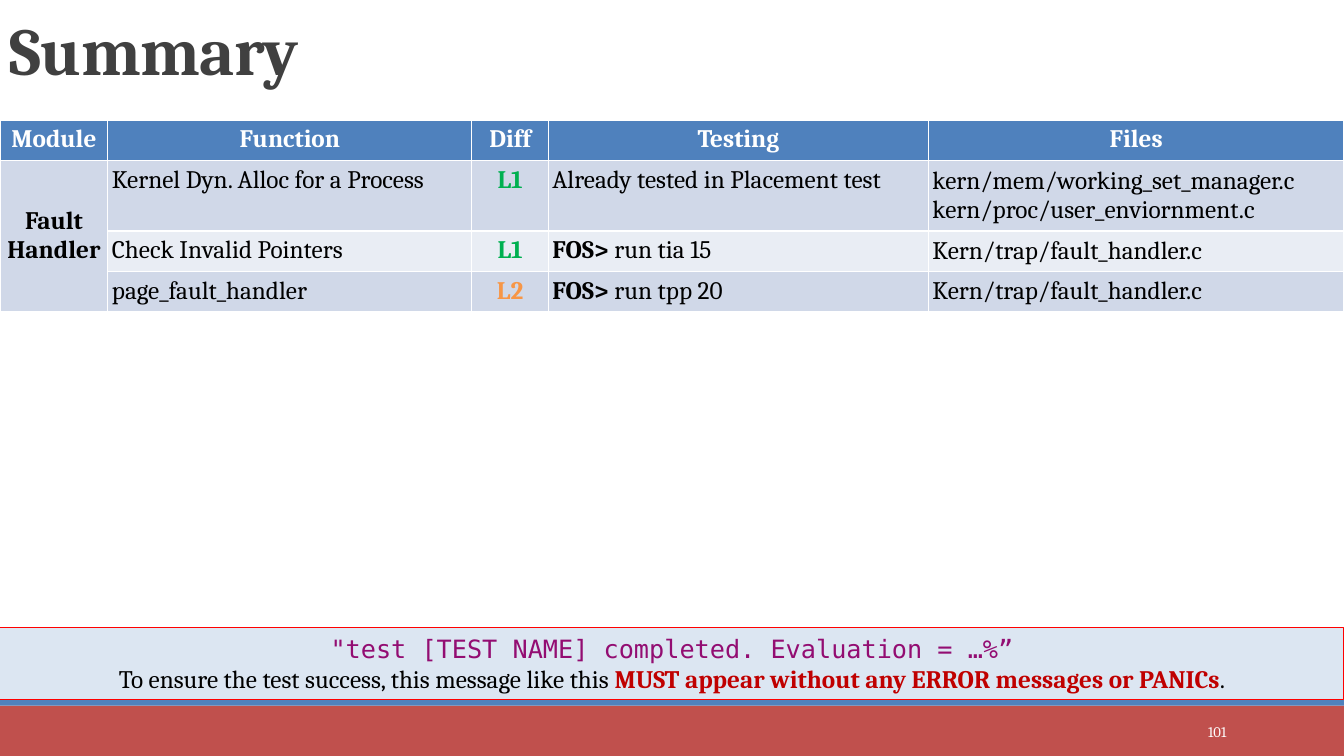
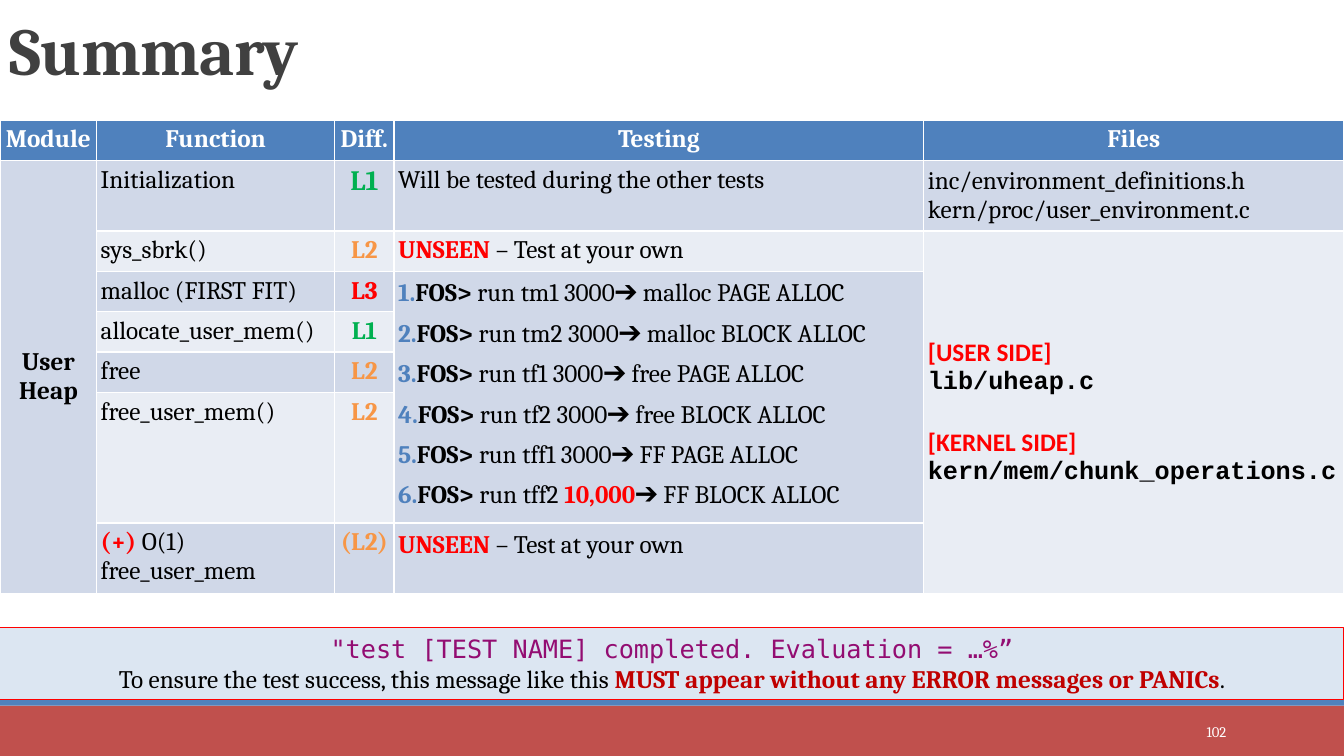
from dataclasses import dataclass, field

from pptx import Presentation
from pptx.dml.color import RGBColor
from pptx.enum.shapes import MSO_SHAPE as Preset
from pptx.enum.text import MSO_ANCHOR as Anchor, PP_ALIGN as Align
from pptx.oxml.xmlchemy import OxmlElement
from pptx.util import Inches, Pt

WIDTH, HEIGHT = Inches(13.33), Inches(7.5)

DARK, WHITE, BLACK = "404040", "FFFFFF", "000000"
BLUE, BRICK, PALE = "4F81BD", "C0504D", "DCE6F2"
RED, DEEP_RED, PURPLE = "FF0000", "C00000", "930D72"
BANDS = ("E9EDF4", "D0D8E8")
LEVEL_COLORS = {"L1": "00B050", "L2": "F79646", "L3": RED}

BODY = {"name": "Cambria", "size": Pt(18), "bold": False, "color": BLACK}
BOLD = {"bold": True}
ALERT = {"bold": True, "color": RED}
SIDE = {**ALERT, "name": "Calibri"}
CODE = {"bold": True, "name": "Courier New"}

CENTER = {"alignment": Align.CENTER}
LOOSE = {"line_spacing": 1.1, "space_before": Pt(2), "space_after": Pt(4)}

HEADINGS = ("Function", "Testing", "Files")
ROW, TALL_ROW, LAST_FREE_ROW = 5.33, 9.07, 16.13


def color(hex_string):
    return RGBColor.from_string(hex_string)


def across(percent):
    """Length as a percentage of the slide's width."""
    return round(WIDTH * percent / 100)


def down(percent):
    """Length as a percentage of the slide's height."""
    return round(HEIGHT * percent / 100)


def box(left, top, width, height):
    return across(left), down(top), across(width), down(height)


@dataclass
class Line:
    """One paragraph: (text, font format) runs and paragraph format."""
    runs: list
    format: dict = field(default_factory=dict)
    numbered: bool = False


def plain(text, **font):
    return Line([(text, font)])


def command(arguments):
    return Line([("FOS> ", BOLD), (arguments, {})])


def unseen(**spacing):
    return Line([("UNSEEN", ALERT), (" – Test at your own", {})], spacing)


def numbered_command(*runs):
    return Line([("FOS>", BOLD), *runs], LOOSE, numbered=True)


def level(name, **font):
    return plain(name, bold=True, color=LEVEL_COLORS[name.strip("()")], **font)


def add_number(paragraph):
    """Number the paragraph in blue, hanging to the left of its text."""
    properties = paragraph._p.get_or_add_pPr()
    properties.set("marL", str(Inches(0.1)))
    properties.set("indent", str(Inches(-0.38)))
    bullet_color = OxmlElement("a:buClr")
    rgb = OxmlElement("a:srgbClr")
    rgb.set("val", BLUE)
    bullet_color.append(rgb)
    numbering = OxmlElement("a:buAutoNum")
    numbering.set("type", "arabicPeriod")
    properties.extend((bullet_color, numbering))


def write(frame, lines, base=BODY, paragraph_format=None):
    frame.word_wrap = True
    for index, line in enumerate(lines):
        paragraph = frame.paragraphs[0] if index == 0 else frame.add_paragraph()
        for name, value in {**(paragraph_format or {}), **line.format}.items():
            setattr(paragraph, name, value)
        if line.numbered:
            add_number(paragraph)
        for text, font_format in line.runs:
            run = paragraph.add_run()
            run.text = text
            for name, value in {**base, **font_format}.items():
                if name == "color":
                    run.font.color.rgb = color(value)
                elif name == "spacing":
                    run._r.get_or_add_rPr().set("spc", str(value))
                else:
                    setattr(run.font, name, value)


class Deck:
    def __init__(self):
        self.presentation = Presentation()
        self.presentation.slide_width = WIDTH
        self.presentation.slide_height = HEIGHT
        self.slide = None

    def add_summary(self, number):
        """Start a slide with the bands, title, number and message."""
        self.slide = self.presentation.slides.add_slide(
            self.presentation.slide_layouts[6])
        self.rectangle(box(0, 93.33, 100, 6.67), BRICK)
        self.rectangle(box(0, 92.4, 100, 0.93), BLUE)
        self.text(box(0, 0.13, 82.5, 12.27), "Summary", Anchor.BOTTOM,
                  {"size": Pt(48), "color": DARK, "bold": True, "spacing": -50},
                  {"line_spacing": 0.85})
        self.text(box(81.25, 94.13, 10.73, 5.33), str(number), Anchor.MIDDLE,
                  {"size": Pt(10.5), "color": WHITE},
                  {"alignment": Align.RIGHT})
        self.message()

    def rectangle(self, place, fill, outline=None):
        shape = self.slide.shapes.add_shape(Preset.RECTANGLE, *place)
        shape.shadow.inherit = False
        shape.fill.solid()
        shape.fill.fore_color.rgb = color(fill)
        if outline:
            shape.line.color.rgb = color(outline)
            shape.line.width = Pt(0.75)
        else:
            shape.line.fill.background()
        return shape

    def text(self, place, text, anchor, font, paragraph_format):
        frame = self.slide.shapes.add_textbox(*place).text_frame
        frame.vertical_anchor = anchor
        write(frame, [plain(text)], {**BODY, **font}, paragraph_format)

    def message(self):
        shape = self.rectangle(box(0, 83.07, 100, 9.47), PALE, RED)
        shape.text_frame.vertical_anchor = Anchor.TOP
        write(shape.text_frame, [
            plain('"test [TEST NAME] completed. Evaluation = …%”',
                  name="DejaVu Sans Mono", color=PURPLE),
            Line([("To ensure the test success, this message like this ", {}),
                  ("MUST appear without any ERROR messages or PANICs",
                   {"bold": True, "color": DEEP_RED}),
                  (".", {})]),
        ], paragraph_format=CENTER)

    def table(self, module, level_heading, widths, heights, rows):
        """Draw the table; a cell of None continues the cell above it."""
        function, testing, files = HEADINGS
        header = [[plain(heading, bold=True, color=WHITE)] for heading in
                  ("Module", function, level_heading, testing, files)]
        modules = [[plain(module, bold=True)]] + [None] * (len(rows) - 1)
        grid = [header] + [[first, *rest] for first, rest in zip(modules, rows)]
        table = self.slide.shapes.add_table(
            len(grid), len(widths),
            *box(0, 15.87, sum(widths), sum(heights))).table
        table.horz_banding = False
        for column, width in zip(table.columns, widths):
            column.width = across(width)
        for row, height in zip(table.rows, heights):
            row.height = down(height)
        for row_index, row in enumerate(grid):
            for column_index, lines in enumerate(row):
                self.cell(table, row_index, column_index, lines)
        for column_index in range(len(widths)):
            self.merge_down(table, grid, column_index)

    @staticmethod
    def cell(table, row, column, lines):
        cell = table.cell(row, column)
        cell.fill.solid()
        cell.fill.fore_color.rgb = color(BANDS[row % 2] if row else BLUE)
        middle = row > 0 and column in (0, 4)
        cell_format = {
            "margin_left": Inches(0.04), "margin_right": Inches(0.04),
            "margin_top": Inches(0.05), "margin_bottom": Inches(0.05),
            "vertical_anchor": Anchor.MIDDLE if middle else Anchor.TOP,
        }
        for name, value in cell_format.items():
            setattr(cell, name, value)
        centered = row == 0 or column in (0, 2)
        write(cell.text_frame, lines or [],
              paragraph_format=CENTER if centered else None)

    @staticmethod
    def merge_down(table, grid, column):
        starts = [index for index, row in enumerate(grid)
                  if row[column] is not None]
        for start, end in zip(starts, starts[1:] + [len(grid)]):
            if end - start > 1:
                table.cell(start, column).merge(table.cell(end - 1, column))


def add_fault_handler(deck):
    deck.add_summary(101)
    handler_file = [plain("Kern/trap/fault_handler.c")]
    deck.table(
        "Fault Handler", "Diff",
        (8.03, 27.08, 5.7, 28.28, 30.91), (ROW, TALL_ROW, ROW, ROW),
        [
            ([plain("Kernel Dyn. Alloc for a Process")], [level("L1")],
             [plain("Already tested in Placement test")],
             [plain("kern/mem/working_set_manager.c"),
              plain("kern/proc/user_enviornment.c")]),
            ([plain("Check Invalid Pointers")], [level("L1")],
             [command("run tia 15")], handler_file),
            ([plain("page_fault_handler")], [level("L2")],
             [command("run tpp 20")], handler_file),
        ])


def add_user_heap(deck):
    deck.add_summary(102)
    tests = [numbered_command((f" run {test} 3000➔ {target} ALLOC", {}))
             for test, target in (("tm1", "malloc PAGE"), ("tm2", "malloc BLOCK"),
                                  ("tf1", "free PAGE"), ("tf2", "free BLOCK"),
                                  ("tff1", "FF PAGE"))]
    tests.append(numbered_command((" run tff2 ", {}), ("10,000", ALERT),
                                  ("➔ FF BLOCK ALLOC", {})))
    sides = [
        Line([("[USER SIDE]", SIDE)]),
        Line([("lib/uheap.c", CODE)]),
        Line([("[KERNEL SIDE]", SIDE)], {"space_before": Pt(22)}),
        Line([("kern/mem/chunk_operations.c", CODE)]),
    ]
    deck.table(
        "User Heap", "Diff.",
        (7.2, 17.7, 4.43, 39.42, 31.25),
        (ROW, TALL_ROW, ROW, ROW, ROW, ROW, LAST_FREE_ROW, TALL_ROW),
        [
            ([plain("Initialization")], [level("L1", size=Pt(20))],
             [plain("Will be tested during the other tests")],
             [plain("inc/environment_definitions.h"),
              plain("kern/proc/user_environment.c")]),
            ([plain("sys_sbrk()")], [level("L2")], [unseen()], sides),
            ([plain("malloc (FIRST FIT)")], [level("L3")], tests, None),
            ([plain("allocate_user_mem()")], [level("L1")], None, None),
            ([plain("free")], [level("L2")], None, None),
            ([plain("free_user_mem()")], [level("L2")], None, None),
            ([Line([("(+)", ALERT), (" O(1) free_user_mem", {})])],
             [level("(L2)")], [unseen(**LOOSE)], None),
        ])


def main():
    deck = Deck()
    add_fault_handler(deck)
    add_user_heap(deck)
    deck.presentation.save("out.pptx")


if __name__ == "__main__":
    main()
